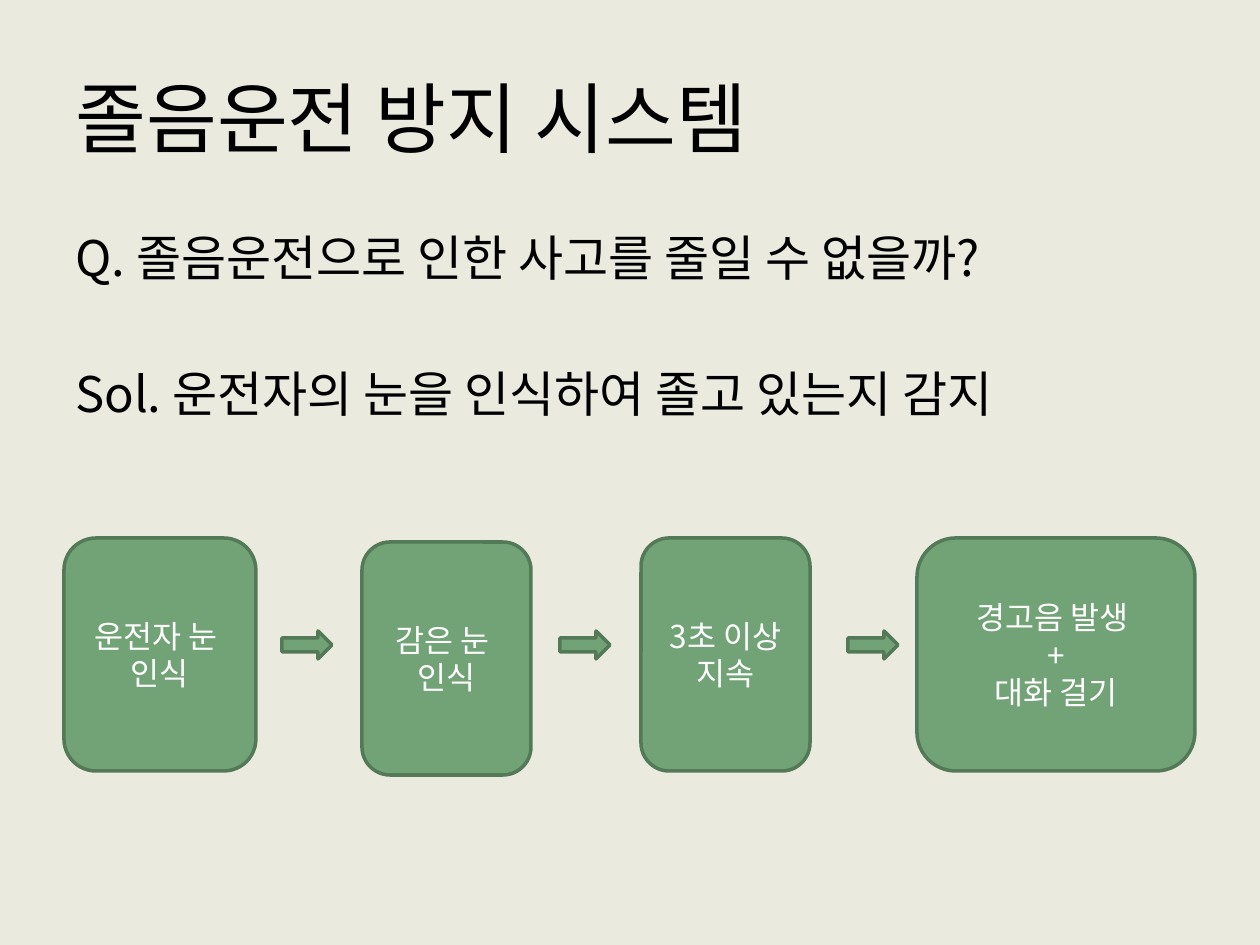
import dataclasses
import typing

import lxml.etree
import pptx
import pptx.dml.color
import pptx.enum.shapes
import pptx.enum.text
import pptx.oxml.ns
import pptx.util

EMU_PER_PIXEL = 914400 / 126
SHAPES = pptx.enum.shapes.MSO_SHAPE
ALIGN = pptx.enum.text.PP_ALIGN
ANCHOR = pptx.enum.text.MSO_ANCHOR


@dataclasses.dataclass(frozen=True)
class Theme:
    background: str = "EAEBDE"
    fill: str = "72A376"
    outline: str = "547957"
    dark_text: str = "000000"
    light_text: str = "FFFFFF"
    font: str = "Noto Sans CJK KR"
    title_size: int = 44
    body_size: int = 28
    step_size: int = 18
    body_gap: float = 44.5
    outline_width: int = 2


@dataclasses.dataclass(frozen=True)
class Step:
    left: int
    width: int
    lines: tuple[str, ...]
    top: int = 538


THEME = Theme()
STEPS = (
    Step(64, 192, ("운전자 눈 ", "인식")),
    Step(362, 169, ("감은 눈 ", "인식"), top=542),
    Step(641, 169, ("3초 이상 지속",)),
    Step(917, 278, ("경고음 발생 ", "+", "대화 걸기")),
)
STEP_HEIGHT = 233
ARROW_LEFTS = (282, 560, 848)
ARROW_TOP, ARROW_WIDTH, ARROW_HEIGHT = 631, 50, 28


def px(pixels: int) -> pptx.util.Emu:
    return pptx.util.Emu(round(pixels * EMU_PER_PIXEL))


def color(value: str) -> pptx.dml.color.RGBColor:
    return pptx.dml.color.RGBColor.from_string(value)


def set_all(target: typing.Any, values: dict[str, typing.Any]) -> None:
    for name, value in values.items():
        setattr(target, name, value)


def write_text(shape: typing.Any, lines: tuple[str, ...], size: int, text_color: str,
               anchor: typing.Any, align: typing.Any, gap: float = 0) -> None:
    frame = shape.text_frame
    set_all(frame, {"word_wrap": True, "vertical_anchor": anchor})
    for index, line in enumerate(lines):
        paragraph = frame.paragraphs[0] if index == 0 else frame.add_paragraph()
        set_all(paragraph, {"alignment": align,
                            "space_before": pptx.util.Pt(gap if index else 0)})
        run = paragraph.add_run()
        run.text = line
        set_all(run.font, {"name": THEME.font, "size": pptx.util.Pt(size)})
        run.font.color.rgb = color(text_color)
        # Hangul takes its typeface from the East Asian font
        east_asian = lxml.etree.SubElement(run.font._element, pptx.oxml.ns.qn("a:ea"))
        east_asian.set("typeface", THEME.font)


def add_text(slide: typing.Any, box: tuple[int, int, int, int], lines: tuple[str, ...],
             size: int, anchor: typing.Any, gap: float = 0) -> None:
    shape = slide.shapes.add_textbox(*map(px, box))
    write_text(shape, lines, size, THEME.dark_text, anchor, ALIGN.LEFT, gap)


def add_block(slide: typing.Any, kind: typing.Any,
              box: tuple[int, int, int, int]) -> typing.Any:
    shape = slide.shapes.add_shape(kind, *map(px, box))
    shape.shadow.inherit = False
    shape.fill.solid()
    shape.fill.fore_color.rgb = color(THEME.fill)
    shape.line.color.rgb = color(THEME.outline)
    shape.line.width = pptx.util.Pt(THEME.outline_width)
    return shape


def add_step(slide: typing.Any, step: Step) -> None:
    shape = add_block(slide, SHAPES.ROUNDED_RECTANGLE,
                      (step.left, step.top, step.width, STEP_HEIGHT))
    write_text(shape, step.lines, THEME.step_size, THEME.light_text,
               ANCHOR.MIDDLE, ALIGN.CENTER)


# Slide and background
presentation = pptx.Presentation()
set_all(presentation, {"slide_width": px(1260), "slide_height": px(945)})
slide = presentation.slides.add_slide(presentation.slide_layouts[6])
slide.background.fill.solid()
slide.background.fill.fore_color.rgb = color(THEME.background)

# Title, question and solution
add_text(slide, (63, 38, 1134, 158), ("졸음운전 방지 시스템",),
         THEME.title_size, ANCHOR.MIDDLE)
add_text(slide, (63, 221, 1134, 624),
         ("Q. 졸음운전으로 인한 사고를 줄일 수 없을까?",
          "Sol. 운전자의 눈을 인식하여 졸고 있는지 감지"),
         THEME.body_size, ANCHOR.TOP, THEME.body_gap)

# Process steps and the arrows between them
for step in STEPS:
    add_step(slide, step)
for arrow_left in ARROW_LEFTS:
    add_block(slide, SHAPES.RIGHT_ARROW,
              (arrow_left, ARROW_TOP, ARROW_WIDTH, ARROW_HEIGHT))

presentation.save("out.pptx")
